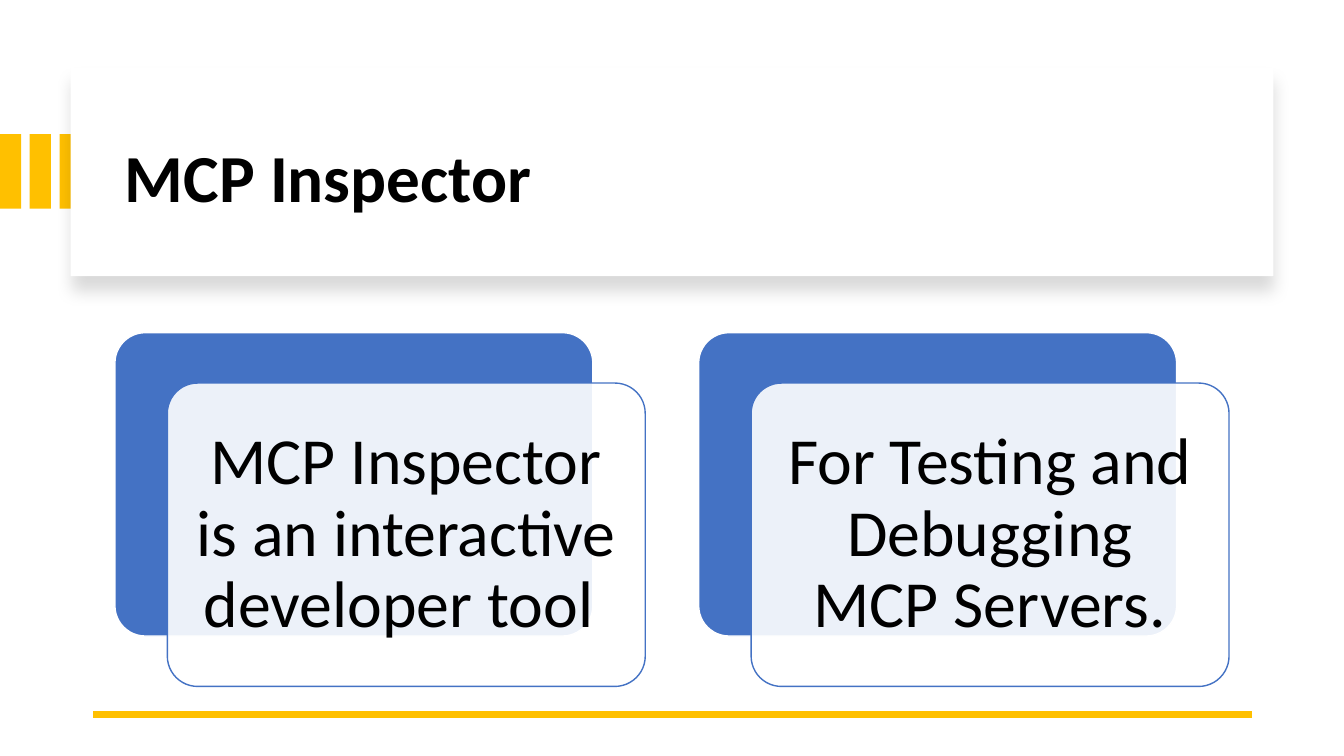
from lxml.etree import SubElement
from pptx import Presentation
from pptx.dml.color import RGBColor as Rgb
from pptx.enum.shapes import MSO_CONNECTOR as Conn, MSO_SHAPE as Kind
from pptx.enum.text import MSO_ANCHOR as Anchor, PP_ALIGN as Align
from pptx.oxml.ns import qn
from pptx.util import Inches, Pt

COLORS = {"white": "FFFFFF", "black": "000000", "gold": "FFC000", "blue": "4472C4"}
CARDS = [
    "MCP Inspector is an interactive developer tool ",
    "For Testing and Debugging MCP Servers.",
]


def tint(name):
    return Rgb.from_string(COLORS[name])


def add_box(slide, kind, left, top, width, height, fill, line=None):
    box = slide.shapes.add_shape(
        kind, Inches(left), Inches(top), Inches(width), Inches(height))
    box.shadow.inherit = False
    box.fill.solid()
    box.fill.fore_color.rgb = tint(fill)
    if line:
        box.line.color.rgb = tint(line)
        box.line.width = Pt(1)
    else:
        box.line.fill.background()
    return box


def add_text(slide, left, top, width, height, words, size, bold=False):
    box = slide.shapes.add_textbox(
        Inches(left), Inches(top), Inches(width), Inches(height))
    frame = box.text_frame
    frame.word_wrap = True
    frame.vertical_anchor = Anchor.MIDDLE
    run = frame.paragraphs[0].add_run()
    run.text = words
    run.font.name = "Calibri"
    run.font.size = Pt(size)
    run.font.bold = bold
    run.font.color.rgb = tint("black")
    return frame


def set_alpha(parent, value):
    SubElement(parent, qn("a:alpha")).set("val", str(value * 1000))


def add_shadow(box):
    effects = box._element.spPr.find(qn("a:effectLst"))
    shade = SubElement(effects, qn("a:outerShdw"), blurRad=str(Pt(11)),
                       dist=str(Pt(10)), dir="5400000", algn="t", rotWithShape="0")
    color = SubElement(shade, qn("a:srgbClr"), val=COLORS["black"])
    set_alpha(color, 15)


def add_rule(slide, start, end, top):
    rule = slide.shapes.add_connector(
        Conn.STRAIGHT, Inches(start), Inches(top), Inches(end), Inches(top))
    rule.line.color.rgb = tint("gold")
    rule.line.width = Pt(4.5)
    SubElement(rule._element.spPr, qn("a:effectLst"))


def add_card(slide, left, top, words):
    width, height = 4.74, 3.01
    back = add_box(slide, Kind.ROUNDED_RECTANGLE, left, top, width, height,
                   "blue", "white")
    front = add_box(slide, Kind.ROUNDED_RECTANGLE, left + 0.52, top + 0.5,
                    width, height, "white", "blue")
    for panel in (back, front):
        panel.adjustments[0] = 0.1
    set_alpha(front._element.spPr.find(qn("a:solidFill"))[0], 90)
    frame = add_text(slide, left + 0.61, top + 0.59, width - 0.18, height - 0.18,
                     words, 47)
    frame.margin_left = frame.margin_right = Inches(0.18)
    frame.margin_top = frame.margin_bottom = Inches(0.2)
    para = frame.paragraphs[0]
    para.alignment = Align.CENTER
    para.line_spacing = 0.9


def main():
    deck = Presentation()
    deck.slide_width, deck.slide_height = Inches(13.33), Inches(7.5)
    slide = deck.slides.add_slide(deck.slide_layouts[6])
    for index in range(3):
        add_box(slide, Kind.RECTANGLE, index * 0.295, 1.33, 0.21, 0.74, "gold")
    banner = add_box(slide, Kind.RECTANGLE, 0.7, 0.67, 11.93, 2.07, "white")
    add_shadow(banner)
    add_text(slide, 1.14, 0.89, 11.13, 1.7, "MCP Inspector", 48, True)
    add_rule(slide, 12.42, 0.92, 7.09)
    for index, words in enumerate(CARDS):
        add_card(slide, 1.14 + index * 5.79, 3.3, words)
    deck.save("out.pptx")


if __name__ == "__main__":
    main()
